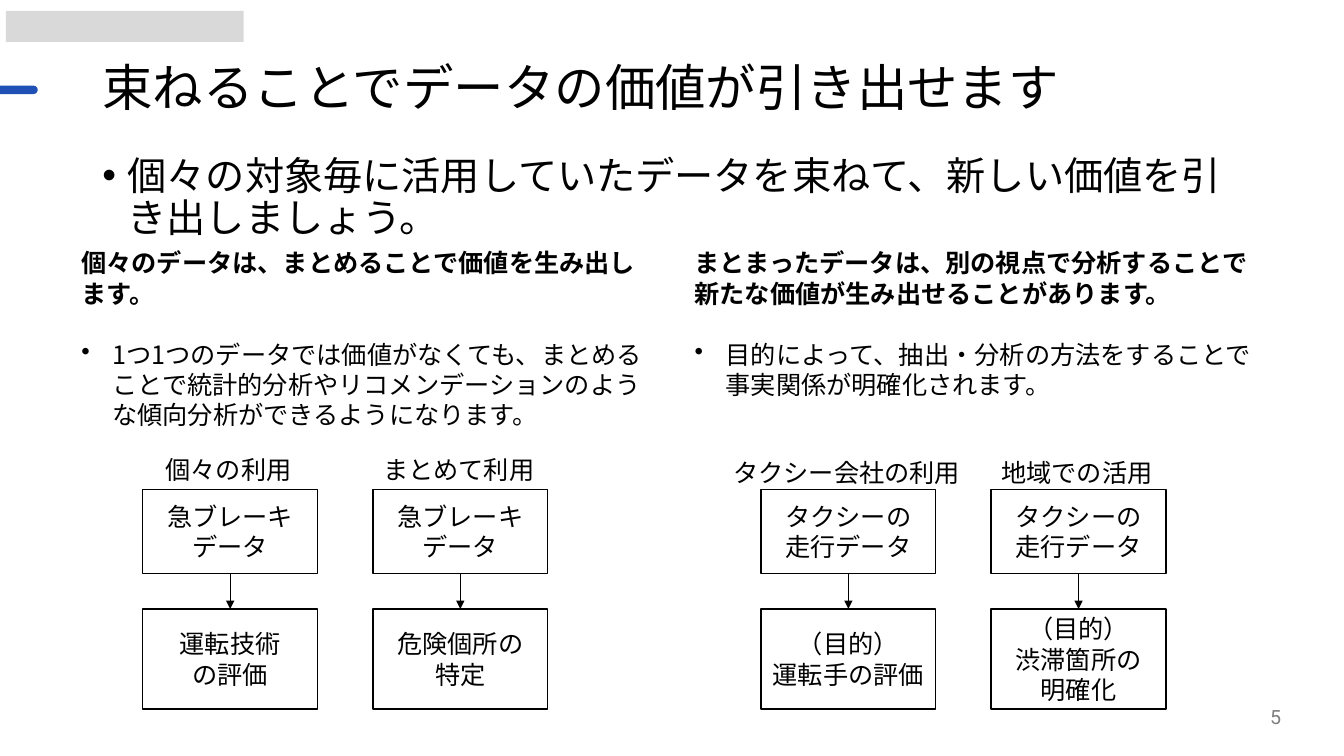
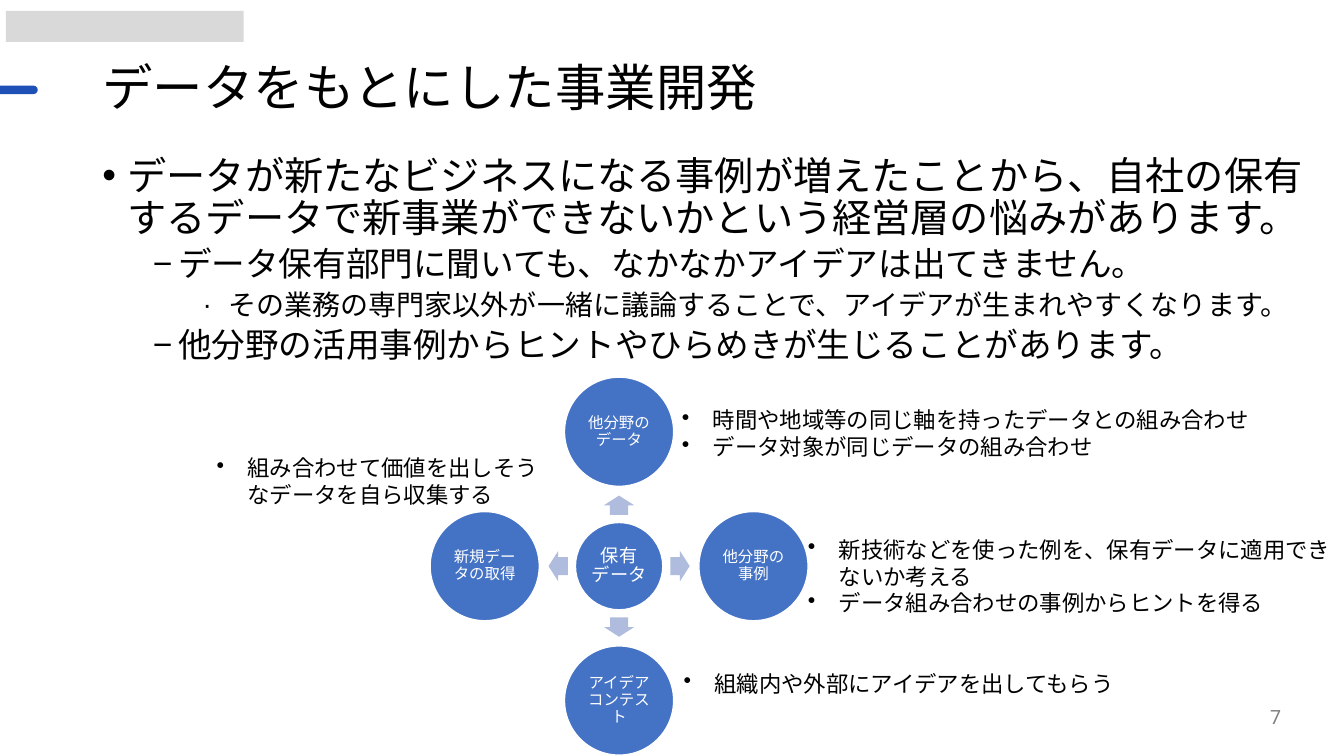
import math

from lxml import etree
from pptx import Presentation
from pptx.dml.color import RGBColor
from pptx.enum.lang import MSO_LANGUAGE_ID
from pptx.enum.shapes import MSO_CONNECTOR, MSO_SHAPE
from pptx.enum.text import MSO_ANCHOR, MSO_AUTO_SIZE, PP_ALIGN
from pptx.oxml.ns import qn
from pptx.util import Inches, Pt

LEFT, CENTER, RIGHT = PP_ALIGN.LEFT, PP_ALIGN.CENTER, PP_ALIGN.RIGHT
TOP, MIDDLE = MSO_ANCHOR.TOP, MSO_ANCHOR.MIDDLE
RECTANGLE, ROUNDED = MSO_SHAPE.RECTANGLE, MSO_SHAPE.ROUNDED_RECTANGLE
OVAL, ARROW = MSO_SHAPE.OVAL, MSO_SHAPE.RIGHT_ARROW
STRAIGHT = MSO_CONNECTOR.STRAIGHT
NO_FIT = MSO_AUTO_SIZE.NONE
JAPANESE = MSO_LANGUAGE_ID.JAPANESE

WIDTH, HEIGHT = Inches(13.33), Inches(7.5)
COLUMNS, ROWS = 160, 90
COLORS = {
    "black": "000000", "white": "FFFFFF", "gray": "808080", "header": "D9D9D9",
    "bar": "1E50B5", "circle": "4472C4", "arrow": "B0BCDE",
}
TEXT_FONT, TITLE_FONT = "Noto Sans CJK JP", "Roboto"
LEVELS = [("•", 28, 10), ("−", 24, 5), ("∙", 20, 5)]
HANG = 3.7


def across(columns):
    """Turn grid columns into a length."""
    return round(WIDTH * columns / COLUMNS)


def down(rows):
    """Turn grid rows into a length."""
    return round(HEIGHT * rows / ROWS)


def color(name):
    """Look up a named colour."""
    return RGBColor.from_string(COLORS[name])


def write(frame, text, size=18, font=TEXT_FONT, ink="black", bold=False,
          align=LEFT, spacing=1.0, before=0, bullet=None, margin=HANG,
          hang=HANG, level=0):
    """Add one formatted paragraph to a text frame."""
    para = frame.add_paragraph() if frame.text else frame.paragraphs[0]
    para.level, para.alignment = level, align
    para.line_spacing, para.space_before = spacing, Pt(before)
    if bullet:
        properties = para._p.get_or_add_pPr()
        properties.set("marL", str(across(margin)))
        properties.set("indent", str(-across(hang)))
        etree.SubElement(properties, qn("a:buChar")).set("char", bullet)
    span = para.add_run()
    span.text = text
    span.font.size, span.font.name, span.font.bold = Pt(size), font, bold
    span.font.color.rgb = color(ink)
    span.font.language_id = JAPANESE
    east_asian = etree.SubElement(span.font._element, qn("a:ea"))
    east_asian.set("typeface", TITLE_FONT)


class Slides:
    """Hold the shared style and the current slide."""

    def __init__(self):
        """Open a deck and prepare its layout."""
        self.deck = Presentation()
        self.deck.slide_width, self.deck.slide_height = WIDTH, HEIGHT
        self.layout = self.deck.slide_layouts[1]
        self.page = None
        for holder in list(self.layout.placeholders):
            if holder.placeholder_format.idx >= 10:
                holder.element.getparent().remove(holder.element)

    def add_page(self, title, number, title_width, body_size, items):
        """Start a slide with its title, list and number."""
        first = self.page is None
        self.page = self.deck.slides.add_slide(self.layout)
        if first:
            self.header()
        heading, body = self.page.placeholders
        self.place(heading, 11, 6.85, title_width, 7.8)
        self.frame(heading, MIDDLE)
        write(heading.text_frame, title, size=36, font=TITLE_FONT, spacing=0.9)
        self.place(body, 11, 18, *body_size)
        self.frame(body)
        for index, (level, text) in enumerate(items):
            bullet, size, before = LEVELS[level]
            write(body.text_frame, text, size=size, spacing=0.9,
                  before=before if index else 0, bullet=bullet,
                  margin=3 + 6 * level, hang=3, level=level)
        self.text(117.7, 82.9, 36, 4.8, number, anchor=MIDDLE, size=14,
                  font=TITLE_FONT, ink="gray", align=RIGHT)

    def header(self):
        """Draw the header marks once and move them to the layout."""
        marks = [
            self.shape(RECTANGLE, 0.7, 1.3, 28.3, 3.7, "header"),
            self.shape(ROUNDED, -1.2, 10.2, 5.7, 1, "bar", adjustments=[0.5]),
        ]
        for mark in marks:
            self.layout.shapes.element.append(mark.element)

    def place(self, box, left, top, width, height):
        """Set a box's place on the grid."""
        box.left, box.top = across(left), down(top)
        box.width, box.height = across(width), down(height)

    def frame(self, box, anchor=TOP, wrap=True):
        """Set how a box holds its text."""
        frame = box.text_frame
        frame.word_wrap, frame.auto_size = wrap, NO_FIT
        frame.vertical_anchor = anchor
        return frame

    def text(self, left, top, width, height, *lines, anchor=TOP, wrap=True,
             **style):
        """Add a text box with one paragraph per line."""
        box = self.page.shapes.add_textbox(
            across(left), down(top), across(width), down(height))
        frame = self.frame(box, anchor, wrap)
        for line in lines:
            write(frame, line, **style)
        return box

    def shape(self, kind, left, top, width, height, fill, line=None,
              adjustments=()):
        """Add a flat preset shape."""
        shape = self.page.shapes.add_shape(
            kind, across(left), down(top), across(width), down(height))
        shape.shadow.inherit = False
        shape.fill.solid()
        shape.fill.fore_color.rgb = color(fill)
        if line:
            shape.line.color.rgb = color(line)
            shape.line.width = Pt(1)
        else:
            shape.line.fill.background()
        for index, value in enumerate(adjustments):
            shape.adjustments[index] = value
        return shape

    def step(self, left, top, height, text):
        """Add an outlined flow box."""
        box = self.shape(RECTANGLE, left, top, 20.8, height, "white", "black")
        frame = self.frame(box, MIDDLE)
        for line in text.split("\n"):
            write(frame, line, align=CENTER)
        return box

    def flow(self, left, label_top, label, source, result):
        """Add a labelled pair of boxes joined by an arrow."""
        label_width = 3 * len(label) + 2.6
        self.text(left + 10.2 - label_width / 2, label_top, label_width, 4.8,
                  label, wrap=False, align=CENTER)
        upper = self.step(left, 58.3, 10, source)
        lower = self.step(left, 72.5, 11.9, result)
        link = self.page.shapes.add_connector(STRAIGHT, 0, 0, 0, 0)
        link.begin_connect(upper, 2)
        link.end_connect(lower, 0)
        link.line.color.rgb = color("black")
        link.line.width = Pt(0.5)
        outline = link.line._get_or_add_ln()
        etree.SubElement(outline, qn("a:tailEnd")).set("type", "triangle")
        etree.SubElement(link.element.spPr, qn("a:effectLst"))

    def circle(self, x, y, diameter, text, size):
        """Add a captioned circle around a centre."""
        circle = self.shape(OVAL, x - diameter / 2, y - diameter / 2,
                            diameter, diameter, "circle", "white")
        frame = self.frame(circle, MIDDLE)
        frame.margin_left = frame.margin_right = Inches(0.02)
        frame.margin_top = frame.margin_bottom = Inches(0.02)
        write(frame, text, size=size, ink="white", align=CENTER, spacing=0.9)

    def radial(self, x, y, center, captions):
        """Add a central circle with arrows to the circles around it."""
        self.circle(x, y, 10.4, center, 13)
        for index, caption in enumerate(captions):
            angle = 90 * index
            dx = math.cos(math.radians(angle))
            dy = math.sin(math.radians(angle))
            arrow = self.shape(ARROW, x + 7.25 * dx - 1.15, y + 7.25 * dy - 1.8,
                               2.3, 3.6, "arrow", adjustments=[0.6, 0.5])
            arrow.rotation = angle
            self.circle(x + 16 * dx, y + 16 * dy, 13, caption, 11)


def main():
    """Build and save the deck."""
    slides = Slides()
    slides.add_page("束ねることでデータの価値が引き出せます", "5", 142.8, (138, 16), [
        (0, "個々の対象毎に活用していたデータを束ねて、新しい価値を引き出しましょう。"),
    ])
    brake, taxi = "急ブレーキデータ", "タクシーの\n走行データ"
    halves = [
        (8.5, "個々のデータは、まとめることで価値を生み出します。",
         "1つ1つのデータでは価値がなくても、まとめることで統計的分析や"
         "リコメンデーションのような傾向分析ができるようになります。",
         17, 53.5, [("個々の利用", brake, "運転技術\nの評価"),
                    ("まとめて利用", brake, "危険個所の\n特定")]),
        (81.5, "まとまったデータは、別の視点で分析することで新たな価値が生み出せることがあります。",
         "目的によって、抽出・分析の方法をすることで事実関係が明確化されます。",
         90.6, 53.8, [("タクシー会社の利用", taxi, "（目的）\n運転手の評価"),
                      ("地域での活用", taxi, "（目的）\n渋滞箇所の\n明確化")]),
    ]
    for left, claim, detail, flow_left, label_top, flows in halves:
        box = slides.text(left, 28.9, 69.4, 23, claim, bold=True)
        write(box.text_frame, detail, bullet="•", before=22)
        for index, flow in enumerate(flows):
            slides.flow(flow_left + 27.4 * index, label_top, *flow)

    slides.add_page("データをもとにした事業開発", "7", 149, (147, 33.5), [
        (0, "データが新たなビジネスになる事例が増えたことから、自社の保有する"
            "データで新事業ができないかという経営層の悩みがあります。"),
        (1, "データ保有部門に聞いても、なかなかアイデアは出てきません。"),
        (2, "その業務の専門家以外が一緒に議論することで、アイデアが生まれやすくなります。"),
        (1, "他分野の活用事例からヒントやひらめきが生じることがあります。"),
    ])
    slides.radial(73.7, 67.4, "保有データ", [
        "他分野の事例", "アイデアコンテスト", "新規データの取得", "他分野のデータ"])
    notes = [
        (80, 47.8, 70.8, 7.7, "時間や地域等の同じ軸を持ったデータとの組み合わせ",
         "データ対象が同じデータの組み合わせ"),
        (95, 63.2, 65, 14.2, "新技術などを使った例を、保有データに適用できないか考える",
         "データ組み合わせの事例からヒントを得る"),
        (80.2, 79.2, 65, 4.4, "組織内や外部にアイデアを出してもらう"),
        (24.6, 53.5, 43, 7.7, "組み合わせて価値を出しそうなデータを自ら収集する"),
    ]
    for note in notes:
        slides.text(*note, size=16, bullet="•")
    slides.deck.save("out.pptx")


if __name__ == "__main__":
    main()
